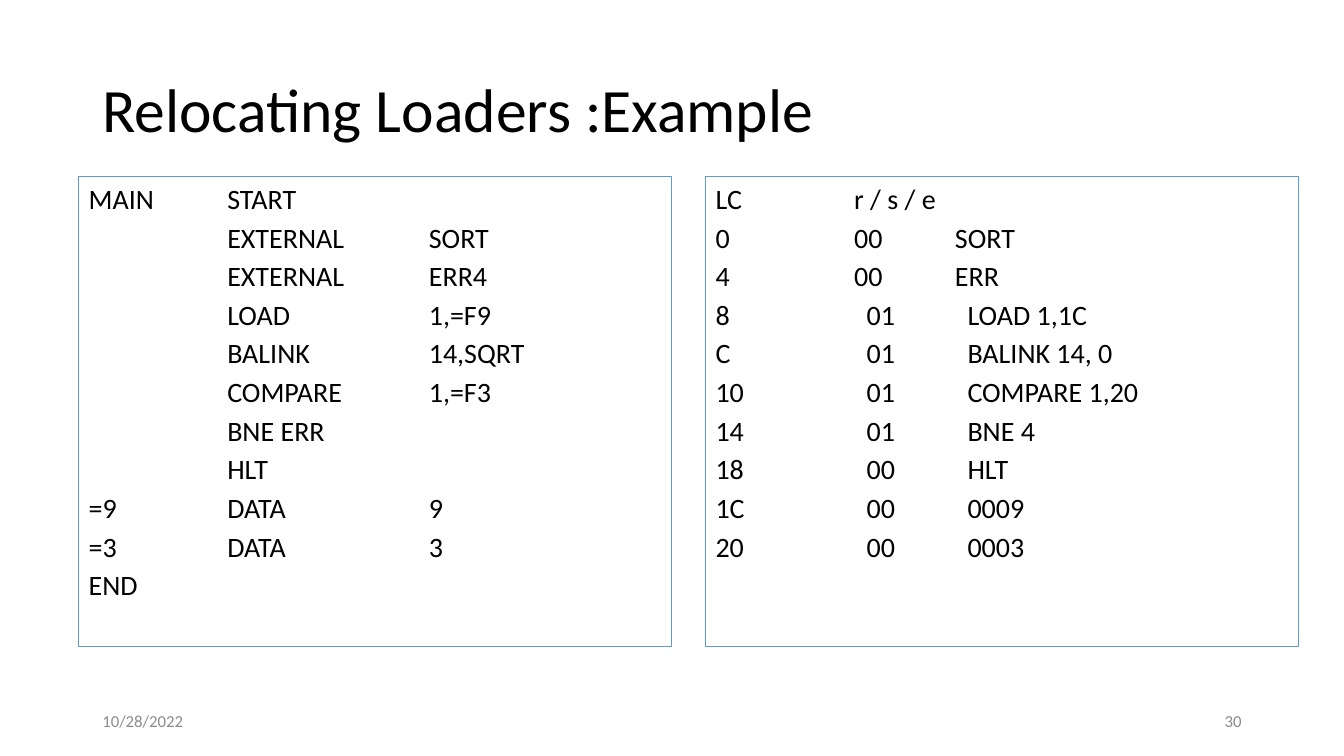
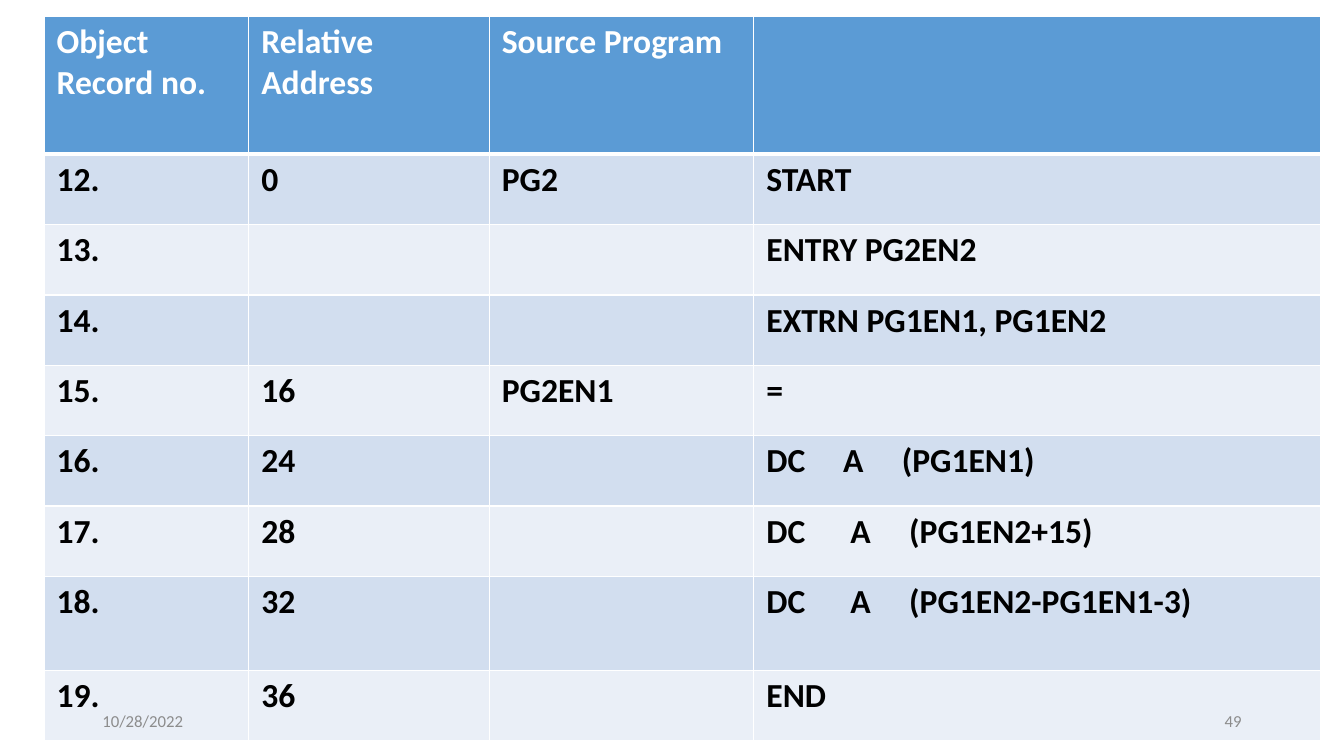
import dataclasses

import pptx
import pptx.dml.color
import pptx.enum.shapes
import pptx.enum.text
import pptx.oxml
import pptx.oxml.ns
import pptx.util

PX = 9525  # EMU in one px, 96 px to the inch
ANCHOR = pptx.enum.text.MSO_ANCHOR
ALIGN = pptx.enum.text.PP_ALIGN


@dataclasses.dataclass(frozen=True)
class Theme:
    font: str = "Calibri"
    ink: str = "000000"
    muted: str = "8C8C8C"
    white: str = "FFFFFF"
    accent: str = "5B9BD5"
    bands: tuple = ("D2DEEF", "EAEFF7")
    title_size: int = 44
    table_size: int = 24
    listing_size: int = 20
    footer_size: int = 12
    line_gap: float = 3.6
    frame_line: float = 0.75
    grid_line: int = 1
    header_line: int = 3


THEME = Theme()

PAGE_SIZE = (1280, 720)
TITLE_BOX = (88, 38, 1104, 139)
DATE_BOX = (88, 667, 288, 38)
NUMBER_BOX = (904, 667, 288, 38)
SOURCE_BOX = (75, 168, 565, 448)
OBJECT_BOX = (672, 168, 565, 448)
TABLE_BOX = (42, 16, 1216, 690)
COLUMN_WIDTHS = (195, 229, 252, 540)
ROW_HEIGHTS = (131, 67, 67, 67, 67, 67, 67, 90, 67)
CELL_INSETS = (12, 5)

DATE = "10/28/2022"

SOURCE_STOPS = (132, 324)
SOURCE_LINES = (
    "MAIN\tSTART",
    "\tEXTERNAL\tSORT",
    "\tEXTERNAL\tERR4",
    "\tLOAD\t1,=F9",
    "\tBALINK\t14,SQRT",
    "\tCOMPARE\t1,=F3",
    "\tBNE ERR",
    "\tHLT",
    "=9\tDATA\t9",
    "=3\tDATA\t3",
    "END",
)

SYMBOL_STOPS = (132, 228)
SYMBOL_LINES = ("LC\tr / s / e", "0\t00\tSORT", "4\t00\tERR")
CODE_STOPS = (144, 240)
CODE_LINES = (
    "8\t01\tLOAD 1,1C",
    "C\t01\tBALINK 14, 0",
    "10\t01\tCOMPARE 1,20",
    "14\t01\tBNE 4",
    "18\t00\tHLT",
    "1C\t00\t0009",
    "20\t00\t0003",
)

RECORDS = (
    ("Object Record no.", "Relative Address", "Source Program", ""),
    ("12.", "0", "PG2", "START"),
    ("13.", "", "", "ENTRY PG2EN2"),
    ("14.", "", "", "EXTRN PG1EN1, PG1EN2"),
    ("15.", "16", "PG2EN1", "="),
    ("16.", "24", "", "DC\tA\t(PG1EN1)"),
    ("17.", "28", "", "DC\tA\t(PG1EN2+15)"),
    ("18.", "32", "", "DC\tA\t(PG1EN2-PG1EN1-3)"),
    ("19.", "36", "", "END"),
)
RECORD_STOPS = {"16.": (73, 129), "17.": (80, 136), "18.": (80, 136)}


def emu(lengths):
    return [length * PX for length in lengths]


def rgb(colour):
    return pptx.dml.color.RGBColor.from_string(colour)


def style_paragraph(paragraph, size, colour, bold=False, align=ALIGN.LEFT):
    paragraph.alignment = align
    for span in paragraph.runs:
        span.font.name = THEME.font
        span.font.size = pptx.util.Pt(size)
        span.font.bold = bold
        span.font.color.rgb = rgb(colour)


def set_tab_stops(paragraph, stops):
    properties = paragraph._p.get_or_add_pPr()
    tab_list = pptx.oxml.parse_xml(f"<a:tabLst {pptx.oxml.ns.nsdecls('a')}/>")
    for stop in stops:
        tab = tab_list.makeelement(pptx.oxml.ns.qn("a:tab"), {"pos": str(stop * PX), "algn": "l"})
        tab_list.append(tab)
    properties.append(tab_list)


def add_label(page, box, text, size, colour, align=ALIGN.LEFT):
    """Place one vertically centred line of text and return its paragraph."""
    frame = page.shapes.add_textbox(*emu(box)).text_frame
    frame.word_wrap = True
    frame.vertical_anchor = ANCHOR.MIDDLE
    frame.text = text
    paragraph = frame.paragraphs[0]
    style_paragraph(paragraph, size, colour, align=align)
    return paragraph


def add_title(page, box, text):
    add_label(page, box, text, THEME.title_size, THEME.ink).line_spacing = 0.9


def add_footer(page, number):
    add_label(page, DATE_BOX, DATE, THEME.footer_size, THEME.muted)
    add_label(page, NUMBER_BOX, number, THEME.footer_size, THEME.muted, ALIGN.RIGHT)


def add_listing(page, box, sections):
    """Frame a code listing made of (lines, tab stops) sections."""
    panel = page.shapes.add_shape(pptx.enum.shapes.MSO_SHAPE.RECTANGLE, *emu(box))
    panel.shadow.inherit = False
    panel.fill.background()
    panel.line.color.rgb = rgb(THEME.accent)
    panel.line.width = pptx.util.Pt(THEME.frame_line)
    frame = panel.text_frame
    frame.word_wrap = True
    frame.vertical_anchor = ANCHOR.TOP
    rows = [(line, stops) for lines, stops in sections for line in lines]
    frame.text = "\n".join(line for line, _ in rows)
    for index, (paragraph, (_, stops)) in enumerate(zip(frame.paragraphs, rows)):
        set_tab_stops(paragraph, stops)
        if index:
            paragraph.space_before = pptx.util.Pt(THEME.line_gap)
        style_paragraph(paragraph, THEME.listing_size, THEME.ink)


def set_borders(cell, top, bottom):
    """Draw white cell borders; call before the cell is filled."""
    properties = cell._tc.get_or_add_tcPr()
    widths = {"L": THEME.grid_line, "R": THEME.grid_line, "T": top, "B": bottom}
    for side, width in widths.items():
        properties.append(pptx.oxml.parse_xml(
            f'<a:ln{side} {pptx.oxml.ns.nsdecls("a")} w="{pptx.util.Pt(width)}">'
            f'<a:solidFill><a:srgbClr val="{THEME.white}"/></a:solidFill></a:ln{side}>'))


def fill_cell(cell, text, row, stops):
    header = row == 0
    set_borders(cell,
                top=THEME.header_line if row == 1 else THEME.grid_line,
                bottom=THEME.header_line if header else THEME.grid_line)
    cell.fill.solid()
    cell.fill.fore_color.rgb = rgb(THEME.accent if header else THEME.bands[(row - 1) % 2])
    side, edge = emu(CELL_INSETS)
    cell.margin_left = cell.margin_right = side
    cell.margin_top = cell.margin_bottom = edge
    cell.text_frame.text = text
    paragraph = cell.text_frame.paragraphs[0]
    if "\t" in text:
        set_tab_stops(paragraph, stops)
    style_paragraph(paragraph, THEME.table_size, THEME.white if header else THEME.ink, bold=True)


def add_record_table(page, box, records):
    table = page.shapes.add_table(len(records), len(COLUMN_WIDTHS), *emu(box)).table
    table.horz_banding = False
    for column, width in zip(table.columns, emu(COLUMN_WIDTHS)):
        column.width = width
    for row, height in zip(table.rows, emu(ROW_HEIGHTS)):
        row.height = height
    for row, record in enumerate(records):
        for column, text in enumerate(record):
            fill_cell(table.cell(row, column), text, row, RECORD_STOPS.get(record[0], ()))


def build_example_page(page):
    add_title(page, TITLE_BOX, "Relocating Loaders :Example")
    add_listing(page, SOURCE_BOX, [(SOURCE_LINES, SOURCE_STOPS)])
    add_listing(page, OBJECT_BOX, [(SYMBOL_LINES, SYMBOL_STOPS), (CODE_LINES, CODE_STOPS)])
    add_footer(page, "30")


def build_record_page(page):
    add_record_table(page, TABLE_BOX, RECORDS)
    add_footer(page, "49")


def main():
    deck = pptx.Presentation()
    deck.slide_width, deck.slide_height = emu(PAGE_SIZE)
    blank = deck.slide_layouts[6]
    for build in (build_example_page, build_record_page):
        build(deck.slides.add_slide(blank))
    deck.save("out.pptx")


if __name__ == "__main__":
    main()
